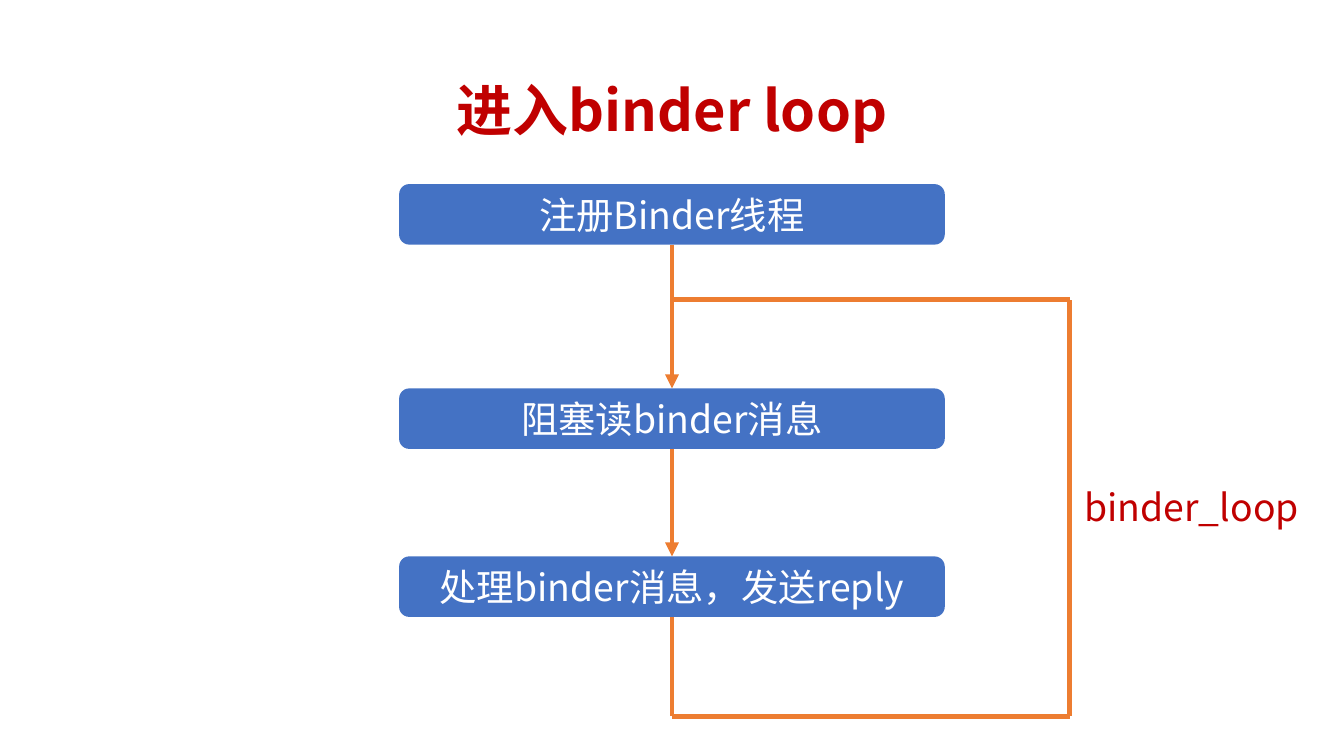
from itertools import pairwise

from lxml.etree import SubElement
from pptx import Presentation
from pptx.dml.color import RGBColor
from pptx.enum.shapes import MSO_CONNECTOR, MSO_SHAPE
from pptx.enum.text import MSO_ANCHOR, PP_ALIGN
from pptx.oxml.ns import qn
from pptx.util import Inches, Pt

COLORS = {"box": "4472C4", "line": "ED7D31", "accent": "C00000", "white": "FFFFFF"}
FONT = "Noto Sans CJK SC"
STEPS = [(1.37, "注册Binder线程"), (2.89, "阻塞读binder消息"), (4.14, "处理binder消息，发送reply")]
STEP_HEIGHT = 0.45


def rgb(name):
    """Return the named colour."""
    return RGBColor.from_string(COLORS[name])


def write(sp, text, size, color, align=PP_ALIGN.CENTER, anchor=MSO_ANCHOR.MIDDLE, bold=False, wrap=True):
    """Put one styled paragraph in a shape and return it."""
    tf = sp.text_frame
    tf.word_wrap = wrap
    tf.vertical_anchor = anchor
    p = tf.paragraphs[0]
    p.text = text
    p.alignment = align
    p.font.size = Pt(size)
    p.font.bold = bold
    p.font.name = FONT
    p.font.color.rgb = rgb(color)
    SubElement(p.font._element, qn("a:ea"), typeface=FONT)
    return p


def add_title(s, x, y, w, h):
    """Add the slide title."""
    sp = s.shapes.add_textbox(Inches(x), Inches(y), Inches(w), Inches(h))
    write(sp, "进入binder loop", 30, "accent", bold=True).line_spacing = 0.9


def add_step(s, x, y, w, h, text):
    """Add one rounded step box."""
    sp = s.shapes.add_shape(MSO_SHAPE.ROUNDED_RECTANGLE, Inches(x), Inches(y), Inches(w), Inches(h))
    sp.shadow.inherit = False
    sp.fill.solid()
    sp.fill.fore_color.rgb = rgb("box")
    sp.line.fill.background()
    write(sp, text, 20, "white")


def add_line(s, start, end, arrow=False):
    """Add a straight line between two points, with an optional arrowhead."""
    line = s.shapes.add_connector(MSO_CONNECTOR.STRAIGHT, *map(Inches, start + end))
    line.line.color.rgb = rgb("line")
    line.line.width = Pt(2.5)
    if arrow:
        SubElement(line.line._get_or_add_ln(), qn("a:tailEnd"), type="triangle")
    SubElement(line._element.spPr, qn("a:effectLst"))


def add_flow(s, x, w):
    """Add the column of steps and the arrows between them."""
    center = x + w / 2
    for y, text in STEPS:
        add_step(s, x, y, w, STEP_HEIGHT, text)
    for (upper, _), (lower, _) in pairwise(STEPS):
        add_line(s, (center, upper + STEP_HEIGHT), (center, lower), arrow=True)


def add_loop(s, x, y, w, h):
    """Add the return path from the last step and its label."""
    right, bottom = x + w, y + h
    corners = [(x, STEPS[-1][0] + STEP_HEIGHT), (x, bottom), (right, bottom), (right, y), (x, y)]
    for start, end in pairwise(corners):
        add_line(s, start, end)
    label = s.shapes.add_textbox(Inches(right + 0.01), Inches(y + 1.32), Inches(1.81), Inches(0.44))
    write(label, "binder_loop", 20, "accent", PP_ALIGN.LEFT, MSO_ANCHOR.TOP, wrap=False)


prs = Presentation()
prs.slide_width = Inches(10)
prs.slide_height = prs.slide_width * 9 // 16
s = prs.slides.add_slide(prs.slide_layouts[6])
add_title(s, 0.69, 0.3, 8.62, 1.09)
add_flow(s, 2.97, 4.06)
add_loop(s, 5, 2.23, 2.96, 3.1)
prs.save("out.pptx")
